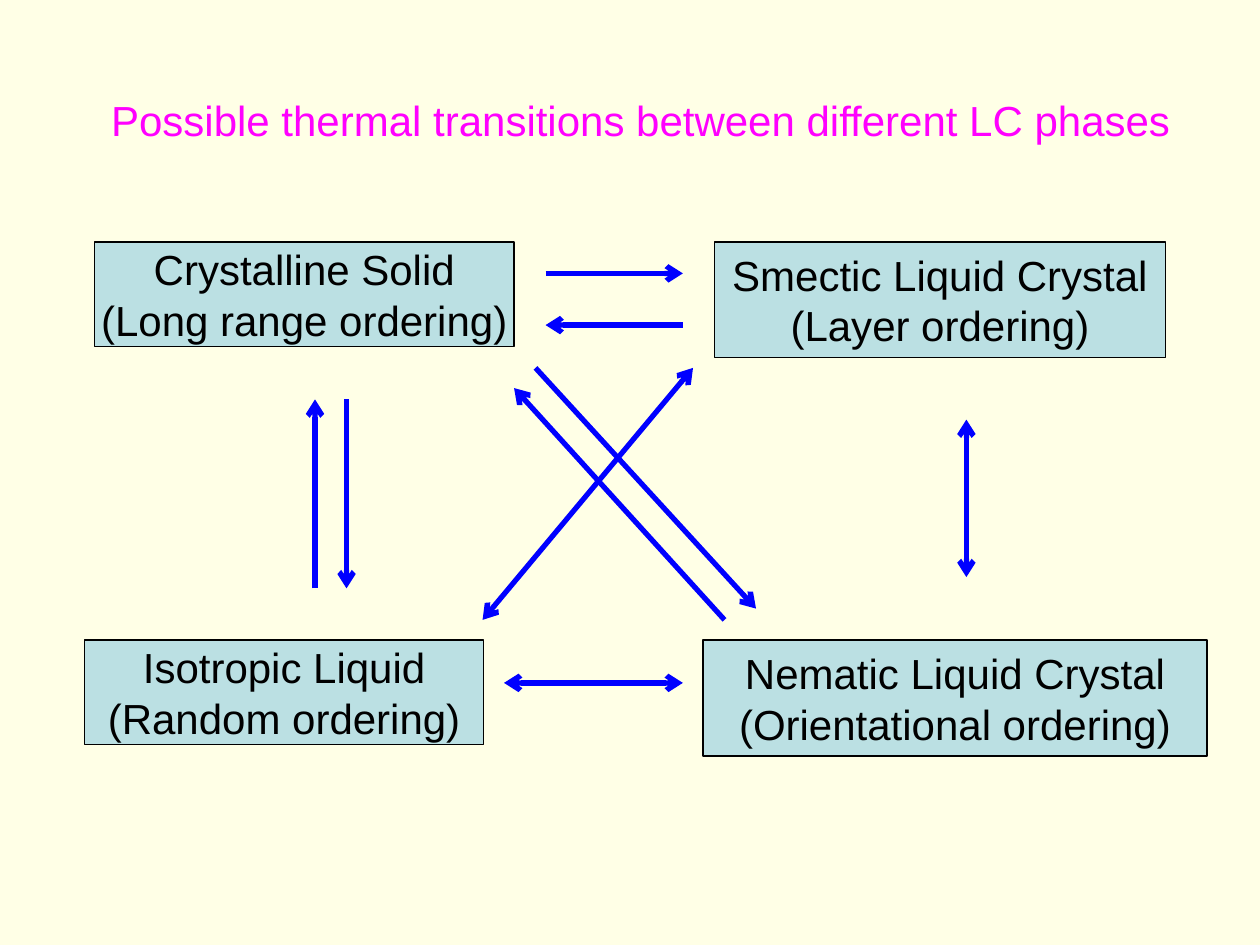
import pptx
import pptx.util
import pptx.dml.color
import pptx.enum.shapes
import pptx.enum.text
import pptx.oxml.ns
from lxml import etree

Inches = pptx.util.Inches
Pt = pptx.util.Pt
Anchor = pptx.enum.text.MSO_ANCHOR
qn = pptx.oxml.ns.qn


def color(code):
    return pptx.dml.color.RGBColor.from_string(code)


class Board:
    font = "Arial"
    size = 24
    back = "FFFFE6"
    accent = "FF00FF"
    ink = "000000"
    fill = "BBE0E3"
    arrow = "0000FF"

    def __init__(self, deck):
        self.slide = deck.slides.add_slide(deck.slide_layouts[5])
        paint = self.slide.background.fill
        paint.solid()
        paint.fore_color.rgb = color(self.back)

    def label(self, frame, text, tint):
        frame.text = text
        for para in frame.paragraphs:
            para.alignment = pptx.enum.text.PP_ALIGN.CENTER
            for run in para.runs:
                run.font.name = self.font
                run.font.size = Pt(self.size)
                run.font.color.rgb = color(tint)

    def title(self, text, left, top, width, height):
        shape = self.slide.shapes.title
        shape.left, shape.top = Inches(left), Inches(top)
        shape.width, shape.height = Inches(width), Inches(height)
        frame = shape.text_frame
        frame.vertical_anchor = Anchor.TOP
        frame.margin_top = 0
        self.label(frame, text, self.accent)

    def phase(self, text, left, top, width, height):
        shape = self.slide.shapes.add_shape(
            pptx.enum.shapes.MSO_SHAPE.RECTANGLE,
            Inches(left), Inches(top), Inches(width), Inches(height))
        shape.shadow.inherit = False
        shape.fill.solid()
        shape.fill.fore_color.rgb = color(self.fill)
        shape.line.color.rgb = color(self.ink)
        shape.line.width = Pt(0.75)
        frame = shape.text_frame
        frame.word_wrap = False
        frame.vertical_anchor = Anchor.MIDDLE
        self.label(frame, text, self.ink)

    def change(self, start, end, both=False):
        link = self.slide.shapes.add_connector(
            pptx.enum.shapes.MSO_CONNECTOR.STRAIGHT,
            *map(Inches, start + end))
        link.line.color.rgb = color(self.arrow)
        link.line.width = Pt(3)
        props = link._element.spPr
        line = props.find(qn("a:ln"))
        for tag in ("a:headEnd", "a:tailEnd") if both else ("a:tailEnd",):
            etree.SubElement(line, qn(tag), type="arrow")
        etree.SubElement(props, qn("a:effectLst"))


def main():
    deck = pptx.Presentation()
    deck.slide_width, deck.slide_height = Inches(10), Inches(7.5)
    board = Board(deck)
    board.title("Possible thermal transitions between different LC phases",
                0.67, 0.75, 8.83, 0.75)

    upper, lower = 1.92, 5.08
    board.phase("Crystalline Solid\n(Long range ordering)", 0.75, upper, 3.33, 0.83)
    board.phase("Smectic Liquid Crystal\n(Layer ordering)", 5.67, upper, 3.58, 0.92)
    board.phase("Nematic Liquid Crystal\n(Orientational ordering)", 5.58, lower, 4, 0.92)
    board.phase("Isotropic Liquid\n(Random ordering)", 0.67, lower, 3.17, 0.83)

    for start, end in (
        ((4.33, 2.17), (5.42, 2.17)),
        ((5.42, 2.58), (4.33, 2.58)),
        ((4.25, 2.92), (6, 4.83)),
        ((5.75, 4.92), (4.08, 3.08)),
        ((2.75, 3.17), (2.75, 4.67)),
        ((2.5, 4.67), (2.5, 3.17)),
    ):
        board.change(start, end)

    for start, end in (
        ((7.67, 3.33), (7.67, 4.58)),
        ((4, 5.42), (5.42, 5.42)),
        ((5.5, 2.92), (3.83, 4.92)),
    ):
        board.change(start, end, both=True)

    deck.save("out.pptx")


if __name__ == "__main__":
    main()
